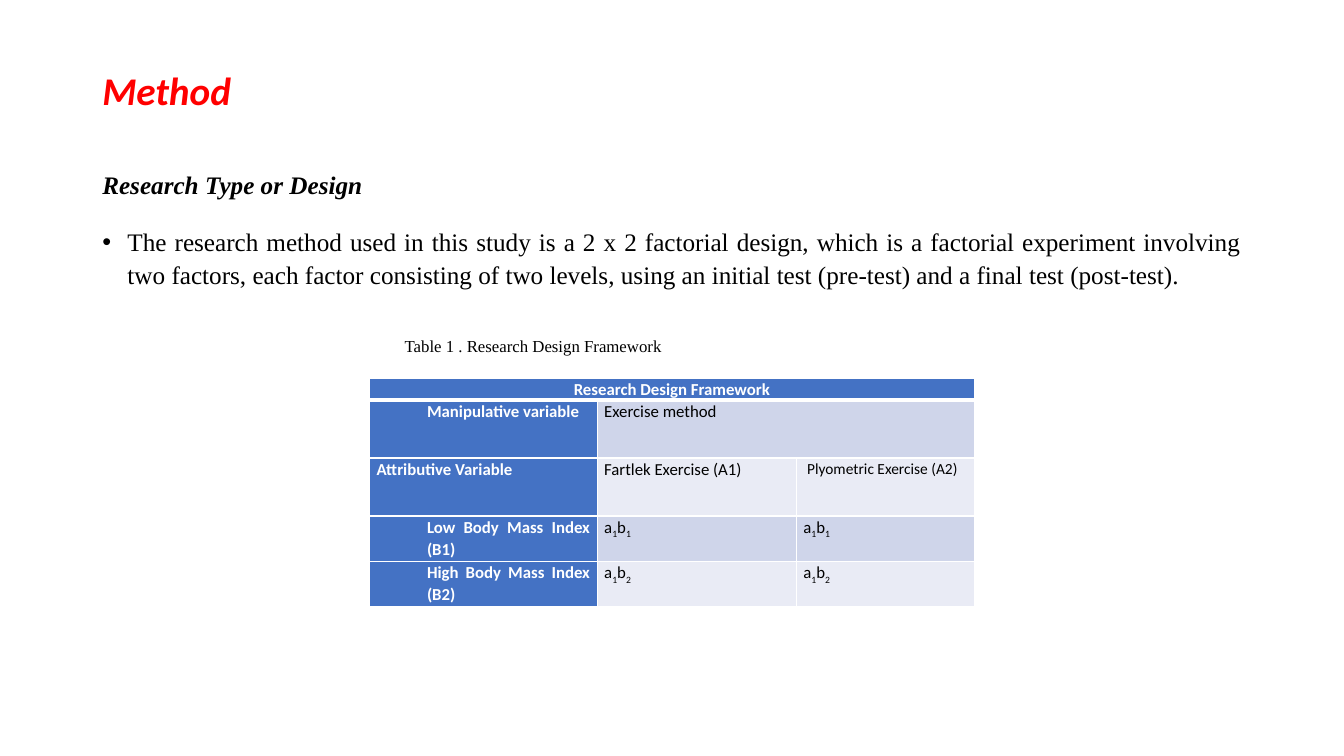
from dataclasses import dataclass

from lxml.etree import SubElement
from pptx import Presentation
from pptx.dml.color import RGBColor
from pptx.enum.text import MSO_ANCHOR, PP_ALIGN
from pptx.oxml import parse_xml
from pptx.oxml.ns import nsdecls, qn
from pptx.util import Emu, Inches, Pt

COLUMNS, ROWS = 160, 90  # slide grid


@dataclass(frozen=True)
class Theme:
    red: str = "FF0000"
    black: str = "000000"
    white: str = "FFFFFF"
    header: str = "4472C4"
    bands: tuple = ("CFD5EA", "E9EBF5")
    sans: str = "Calibri"
    serif: str = "Times New Roman"
    title: int = 28
    body: int = 18
    table: int = 12
    small: int = 11
    line_spacing: float = 1.07


class SlideBuilder:
    def __init__(self, presentation, theme):
        self.theme = theme
        self.slide = presentation.slides.add_slide(presentation.slide_layouts[6])
        self.column = presentation.slide_width / COLUMNS
        self.row = presentation.slide_height / ROWS

    def area(self, left, top, width, height):
        return (Emu(round(left * self.column)), Emu(round(top * self.row)),
                Emu(round(width * self.column)), Emu(round(height * self.row)))

    @staticmethod
    def apply(target, values):
        for name, value in values.items():
            setattr(target, name, value)

    def set_text(self, paragraph, text, size, color, face, layout=None,
                 indent=(0, 0), bullet=None, **style):
        """Fill a paragraph; in a tuple, every second piece is a subscript."""
        properties = paragraph._p.get_or_add_pPr()
        properties.set("marL", str(round(indent[0] * self.column)))
        properties.set("indent", str(round(indent[1] * self.column)))
        if bullet:
            SubElement(properties, qn("a:buFont")).set("typeface", "Arial")
            SubElement(properties, qn("a:buChar")).set("char", bullet)
        self.apply(paragraph, layout or {})
        pieces = (text,) if isinstance(text, str) else text
        for index, piece in enumerate(pieces):
            run = paragraph.add_run()
            run.text = piece
            self.apply(run.font, {"size": Pt(size), "name": face, **style})
            run.font.color.rgb = RGBColor.from_string(color)
            if index % 2:
                run._r.get_or_add_rPr().set("baseline", "-25000")

    def text_box(self, area, paragraphs, **frame_format):
        frame = self.slide.shapes.add_textbox(*self.area(*area)).text_frame
        self.apply(frame, {"word_wrap": True, **frame_format})
        for index, values in enumerate(paragraphs):
            paragraph = frame.add_paragraph() if index else frame.paragraphs[0]
            self.set_text(paragraph, **values)

    def borders(self, cell, top=1, bottom=1):
        properties = cell._tc.get_or_add_tcPr()
        widths = {"lnL": 1, "lnR": 1, "lnT": top, "lnB": bottom}
        for index, (side, width) in enumerate(widths.items()):
            properties.insert(index, parse_xml(
                f'<a:{side} {nsdecls("a")} w="{Pt(width)}"><a:solidFill>'
                f'<a:srgbClr val="{self.theme.white}"/></a:solidFill></a:{side}>'))

    def table(self, left, top, widths, heights, rows, merges):
        theme = self.theme
        area = self.area(left, top, sum(widths), sum(heights))
        table = self.slide.shapes.add_table(len(rows), len(widths), *area).table
        for column, width in zip(table.columns, widths):
            column.width = Emu(round(width * self.column))
        for row, height in zip(table.rows, heights):
            row.height = Emu(round(height * self.row))
        for row_index, texts in enumerate(rows):
            for column_index, values in enumerate(texts):
                cell = table.cell(row_index, column_index)
                heading = row_index == 0 or column_index == 0
                fill = theme.header if heading else theme.bands[(row_index - 1) % 2]
                self.apply(cell, {"margin_left": Inches(0.07), "margin_top": 0,
                                  "margin_right": Inches(0.07), "margin_bottom": 0})
                cell.fill.solid()
                cell.fill.fore_color.rgb = RGBColor.from_string(fill)
                self.borders(cell, top=3 if row_index == 1 else 1,
                             bottom=3 if row_index == 0 else 1)
                if values is None:
                    continue
                layout = {
                    "alignment": PP_ALIGN.JUSTIFY if row_index else PP_ALIGN.CENTER,
                    "line_spacing": theme.line_spacing, "space_after": Pt(8)}
                self.set_text(cell.text_frame.paragraphs[0], **{
                    "size": theme.table, "face": theme.sans, "bold": heading,
                    "color": theme.white if heading else theme.black,
                    "layout": layout, **values})
        for first, last in merges:
            table.cell(*first).merge(table.cell(*last))


def main():
    presentation = Presentation()
    presentation.slide_width, presentation.slide_height = Inches(40 / 3), Inches(7.5)
    theme = Theme()
    builder = SlideBuilder(presentation, theme)

    # Title
    builder.text_box((11, 4.8, 138, 17.4), [
        {"text": "Method", "size": theme.title, "color": theme.red, "face": theme.sans,
         "bold": True, "italic": True, "layout": {"line_spacing": 0.9}},
    ], vertical_anchor=MSO_ANCHOR.MIDDLE, margin_bottom=Inches(0.46))

    # Research type and method
    body = {"size": theme.body, "color": theme.black, "face": theme.serif}
    layout = {"alignment": PP_ALIGN.JUSTIFY, "line_spacing": theme.line_spacing,
              "space_after": Pt(8)}
    builder.text_box((11, 19.3, 138, 61.7), [
        {**body, "text": "Research Type or Design", "bold": True, "italic": True,
         "layout": layout},
        {**body, "text": "The research method used in this study is a 2 x 2 factorial "
                         "design, which is a factorial experiment involving two factors, "
                         "each factor consisting of two levels, using an initial test "
                         "(pre-test) and a final test (post-test).",
         "bullet": "•", "indent": (3, -3), "layout": {**layout, "space_before": Pt(10)}},
    ])

    # Design framework table
    def plain(text):
        return {"text": text}

    def indented(text):
        return {"text": text, "indent": (6, 0)}

    builder.table(
        44, 45, (27.1, 23.7, 21.2), (2.64, 6.9, 6.9, 5.4, 5.4),
        [
            [plain("Research Design Framework"), None, None],
            [indented("Manipulative variable"), plain("Exercise method"), None],
            [plain("Attributive Variable"), plain("Fartlek Exercise (A1)"),
             {"text": "Plyometric Exercise (A2)", "size": theme.small,
              "indent": (0.45, 0)}],
            [indented("Low Body Mass Index (B1)"), *[plain(("a", "1", "b", "1"))] * 2],
            [indented("High Body Mass Index (B2)"), *[plain(("a", "1", "b", "2"))] * 2],
        ],
        merges=[((0, 0), (0, 2)), ((1, 1), (1, 2))])

    # Table caption
    builder.text_box((44, 39.4, 37, 7.3), [
        {"text": "Table 1 . Research Design Framework", "size": theme.table,
         "color": theme.black, "face": theme.serif, "indent": (0, 3)},
    ])

    presentation.save("out.pptx")


if __name__ == "__main__":
    main()
